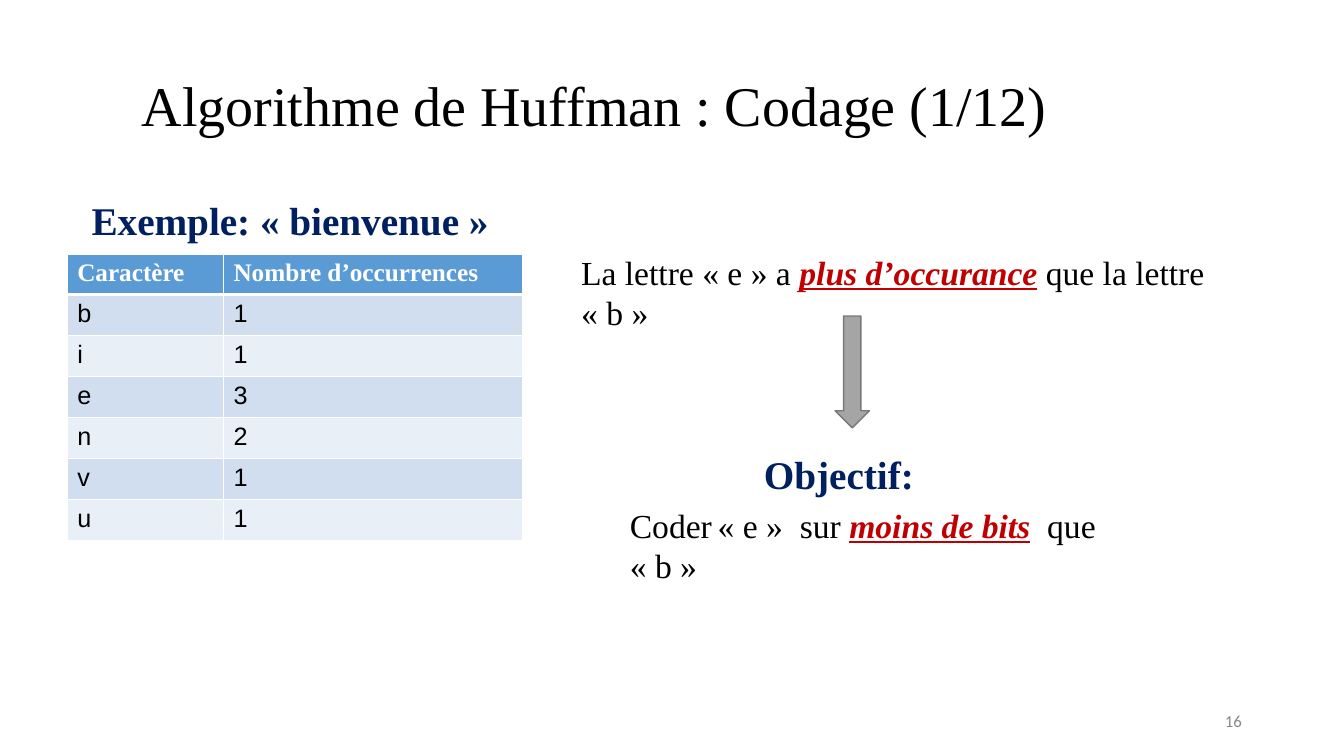
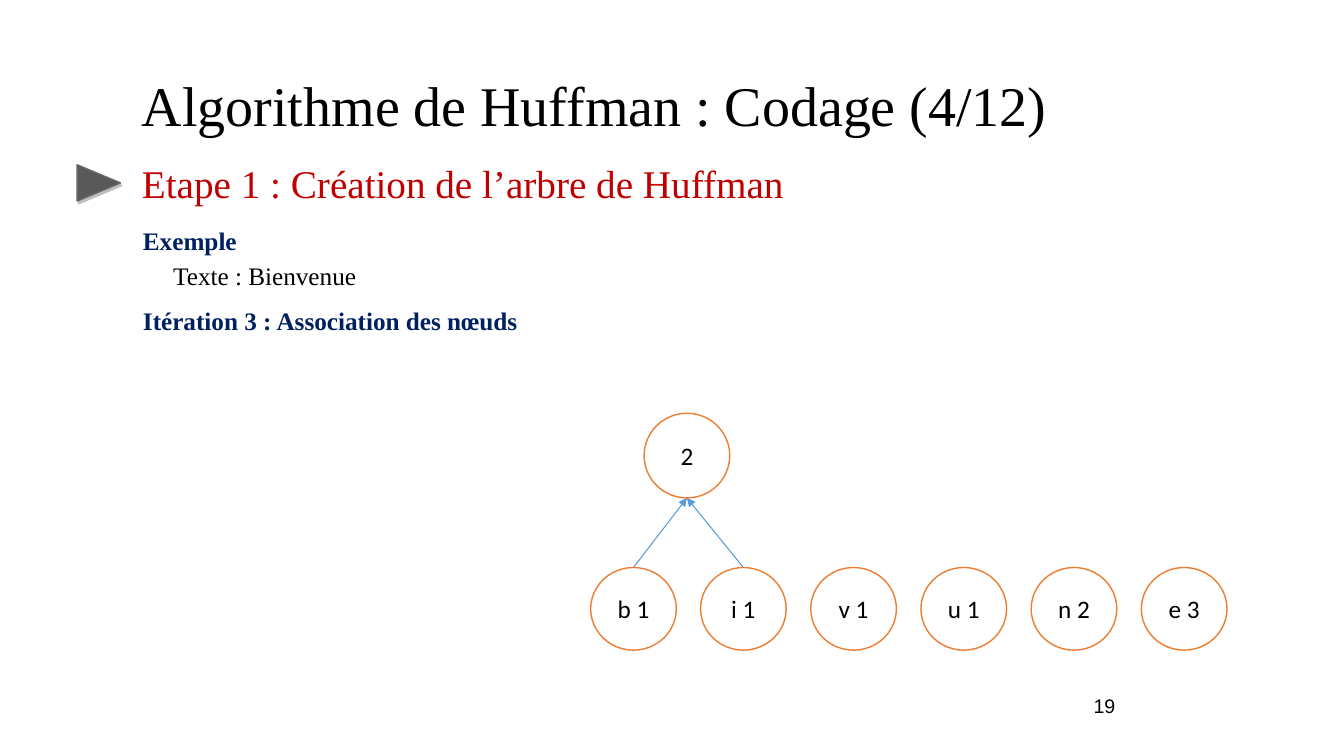
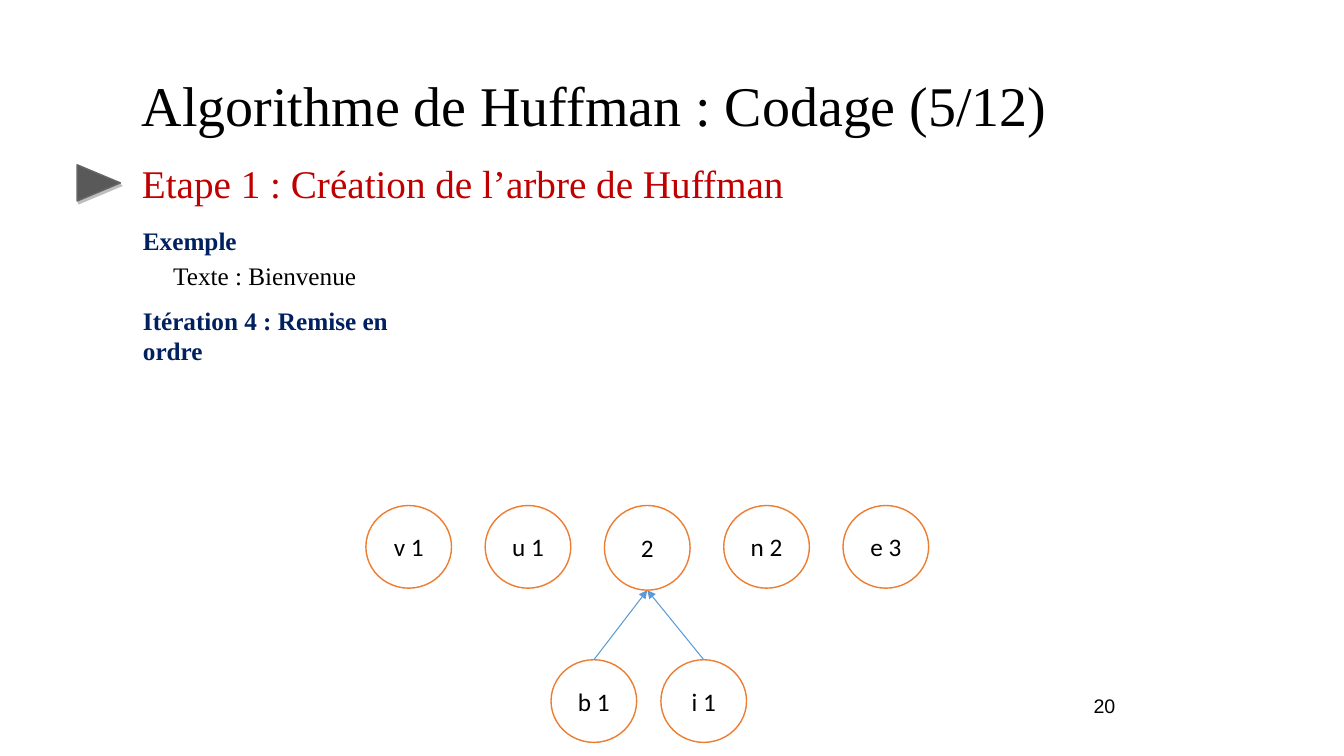
from dataclasses import dataclass
from typing import NamedTuple, Optional, Sequence

from lxml import etree
from pptx import Presentation
from pptx.dml.color import RGBColor
from pptx.enum import shapes, text
from pptx.oxml import parse_xml
from pptx.oxml.ns import nsdecls, qn
from pptx.util import Emu, Inches, Pt


# Theme: colours, fonts and type sizes
@dataclass(frozen=True)
class Theme:
    black: str = "000000"
    white: str = "FFFFFF"
    navy: str = "002060"
    red: str = "C00000"
    grey: str = "888888"
    head_fill: str = "5B9BD5"
    bands: tuple = ("D0DEEF", "E9EFF7")
    arrow_fill: str = "A5A5A5"
    arrow_line: str = "787878"
    marker_fill: str = "595959"
    marker_line: str = "666666"
    marker_shadow: str = "7F7F7F"
    node_line: str = "ED7D31"
    link: str = "5B9BD5"
    serif: str = "Times New Roman"
    sans: str = "Arial"
    label: str = "Calibri"
    title_size: int = 40
    heading_size: int = 28
    text_size: int = 24
    small_size: int = 18


THEME = Theme()

# Grid: 40 columns by 30 rows over the whole slide
SLIDE_WIDTH, SLIDE_HEIGHT = Inches(13.33), Inches(7.5)
COLUMNS, ROWS = 40, 30


def across(columns: float) -> Emu:
    return Emu(round(SLIDE_WIDTH * columns / COLUMNS))


def down(rows: float) -> Emu:
    return Emu(round(SLIDE_HEIGHT * rows / ROWS))


class Box(NamedTuple):
    col: float
    row: float
    cols: float
    rows: float

    def place(self) -> tuple:
        return across(self.col), down(self.row), across(self.cols), down(self.rows)


class Style(NamedTuple):
    size: int
    color: str = THEME.black
    font: str = THEME.serif
    bold: bool = False
    stressed: bool = False


class Span(NamedTuple):
    words: str
    style: Style


TITLE = Style(THEME.title_size)
STEP = Style(THEME.heading_size, THEME.red)
HEADING = Style(THEME.heading_size, THEME.navy, bold=True)
BODY = Style(THEME.text_size)
STRESS = Style(THEME.text_size, THEME.red, bold=True, stressed=True)
SMALL = Style(THEME.small_size)
SMALL_HEADING = Style(THEME.small_size, THEME.navy, bold=True)
NODE = Style(THEME.small_size, font=THEME.label)
TABLE_HEAD = Style(THEME.small_size, THEME.white, bold=True)
TABLE_CELL = Style(THEME.small_size, font=THEME.sans)
PALE_NUMBER = Style(12, THEME.grey, THEME.label)
DARK_NUMBER = Style(14, font=THEME.sans)

NODE_COLS, NODE_ROWS, PARENT_ROWS = 2.55, 3.28, 3.36
CHILD_OFFSETS, CHILD_DROP = (-1.59, 1.68), 6.12


# Text
def quoted(word: str) -> str:
    no_break = chr(160)
    return f"«{no_break}{word}{no_break}»"


def style_run(run, style: Style) -> None:
    font = run.font
    font.name, font.size = style.font, Pt(style.size)
    font.color.rgb = RGBColor.from_string(style.color)
    font.bold, font.italic, font.underline = style.bold, style.stressed, style.stressed


def write(frame, words: str, style: Style) -> None:
    frame.text = words
    style_run(frame.paragraphs[0].runs[0], style)


def add_text(slide, box: Box, spans: Sequence[Span], align=text.PP_ALIGN.LEFT,
             anchor=text.MSO_ANCHOR.TOP, spacing: Optional[float] = None) -> None:
    frame = slide.shapes.add_textbox(*box.place()).text_frame
    frame.word_wrap = True
    frame.vertical_anchor = anchor
    line = frame.paragraphs[0]
    line.alignment = align
    if spacing:
        line.line_spacing = spacing
    for span in spans:
        run = line.add_run()
        run.text = span.words
        style_run(run, span.style)


# Shapes
def add_figure(slide, kind, box: Box, fill: str, line: str, rotation: float = 0):
    figure = slide.shapes.add_shape(kind, *box.place())
    figure.shadow.inherit = False
    figure.rotation = rotation
    figure.fill.solid()
    figure.fill.fore_color.rgb = RGBColor.from_string(fill)
    figure.line.color.rgb = RGBColor.from_string(line)
    figure.line.width = Pt(1)
    return figure


def add_marker(slide) -> None:
    marker = add_figure(slide, shapes.MSO_SHAPE.ISOSCELES_TRIANGLE, Box(2.4, 6.4, 1.08, 1.72),
                        THEME.marker_fill, THEME.marker_line, rotation=90)
    effects = marker._element.spPr.find(qn("a:effectLst"))
    effects.append(parse_xml(
        f'<a:outerShdw {nsdecls("a")} dist="{Pt(2.2)}" dir="{63 * 60000}" rotWithShape="0">'
        f'<a:srgbClr val="{THEME.marker_shadow}"><a:alpha val="50000"/></a:srgbClr>'
        '</a:outerShdw>'))


def add_node(slide, label: str, col: float, row: float, rows: float = NODE_ROWS) -> None:
    node = add_figure(slide, shapes.MSO_SHAPE.OVAL, Box(col, row, NODE_COLS, rows),
                      THEME.white, THEME.node_line)
    frame = node.text_frame
    write(frame, label, NODE)
    frame.vertical_anchor = text.MSO_ANCHOR.MIDDLE
    frame.paragraphs[0].alignment = text.PP_ALIGN.CENTER


def add_node_row(slide, labels: Sequence[Optional[str]], col: float, row: float,
                 pitch: float) -> None:
    for slot, label in enumerate(labels):
        if label:
            add_node(slide, label, col + slot * pitch, row)


def add_link(slide, start: tuple, end: tuple) -> None:
    link = slide.shapes.add_connector(
        shapes.MSO_CONNECTOR.STRAIGHT,
        across(start[0]), down(start[1]), across(end[0]), down(end[1]))
    link.line.color.rgb = RGBColor.from_string(THEME.link)
    link.line.width = Pt(0.75)
    etree.SubElement(link.line._get_or_add_ln(), qn("a:tailEnd"), type="triangle")
    etree.SubElement(link._element.spPr, qn("a:effectLst"))


def add_association(slide, col: float, row: float) -> None:
    """Node of weight 2 above the two leaves it joins."""
    middle = NODE_COLS / 2
    for label, offset in zip(("b 1", "i 1"), CHILD_OFFSETS):
        child_col, child_row = col + offset, row + CHILD_DROP
        add_node(slide, label, child_col, child_row)
        add_link(slide, (child_col + middle, child_row), (col + middle, row + PARENT_ROWS))
    add_node(slide, "2", col, row, PARENT_ROWS)


# Table of occurrences
def set_borders(cell, bottom: float) -> None:
    properties = cell._tc.get_or_add_tcPr()
    for position, (side, width) in enumerate(
            (("lnL", 1), ("lnR", 1), ("lnT", 1), ("lnB", bottom))):
        properties.insert(position, parse_xml(
            f'<a:{side} {nsdecls("a")} w="{Pt(width)}"><a:solidFill>'
            f'<a:srgbClr val="{THEME.white}"/></a:solidFill></a:{side}>'))


def add_occurrences(slide, records: Sequence[tuple]) -> None:
    widths, head_rows, body_rows = (4.65, 8.91), 1.56, 1.63
    box = Box(2, 10.08, sum(widths), head_rows + body_rows * (len(records) - 1))
    table = slide.shapes.add_table(len(records), len(widths), *box.place()).table
    for column, width in zip(table.columns, widths):
        column.width = across(width)
    for r, record in enumerate(records):
        head = r == 0
        table.rows[r].height = down(head_rows if head else body_rows)
        for c, words in enumerate(record):
            cell = table.cell(r, c)
            write(cell.text_frame, words, TABLE_HEAD if head else TABLE_CELL)
            cell.fill.solid()
            cell.fill.fore_color.rgb = RGBColor.from_string(
                THEME.head_fill if head else THEME.bands[(r - 1) % 2])
            set_borders(cell, bottom=3 if head else 1)


# Parts shared by the slides
def start_slide(deck, step: int, number: int, number_box: Box, number_style: Style,
                number_anchor=text.MSO_ANCHOR.TOP):
    slide = deck.slides.add_slide(deck.slide_layouts[6])
    add_text(slide, Box(3.93, 1.8, 28.5, 5),
             [Span(f"Algorithme de Huffman : Codage ({step}/12)", TITLE)],
             anchor=text.MSO_ANCHOR.MIDDLE, spacing=0.9)
    add_text(slide, number_box, [Span(str(number), number_style)],
             align=text.PP_ALIGN.RIGHT, anchor=number_anchor)
    return slide


def start_tree_slide(deck, step: int, number: int, iteration: str, iteration_cols: float):
    slide = start_slide(deck, step, number, Box(26.49, 27.32, 7, 2.08), DARK_NUMBER)
    add_marker(slide)
    add_text(slide, Box(3.93, 6.12, 25.5, 2.48),
             [Span("Etape 1 : Création de l’arbre de Huffman", STEP)],
             anchor=text.MSO_ANCHOR.MIDDLE, spacing=0.9)
    for box, words, style in (
            (Box(3.96, 8.76, 3.48, 1.6), "Exemple", SMALL_HEADING),
            (Box(4.86, 10.12, 26.07, 1.6), "Texte : Bienvenue", SMALL),
            (Box(3.96, 11.92, iteration_cols, 1.6), iteration, SMALL_HEADING)):
        add_text(slide, box, [Span(words, style)])
    return slide


# Slides
def build_example(deck) -> None:
    slide = start_slide(deck, 1, 16, Box(28.26, 27.8, 9, 1.6), PALE_NUMBER,
                        text.MSO_ANCHOR.MIDDLE)
    add_occurrences(slide, [("Caractère", "Nombre d’occurrences"), ("b", "1"), ("i", "1"),
                            ("e", "3"), ("n", "2"), ("v", "1"), ("u", "1")])
    add_text(slide, Box(2.43, 7.6, 12.42, 2.28),
             [Span(f"Exemple: {quoted('bienvenue')}", HEADING)])
    add_text(slide, Box(17, 9.8, 20.97, 2), [
        Span(f"La lettre {quoted('e')} a ", BODY),
        Span("plus d’occurance", STRESS),
        Span(f" que la lettre {quoted('b')}", BODY)])
    add_figure(slide, shapes.MSO_SHAPE.RIGHT_ARROW, Box(23.7, 14.08, 3.33, 1.36),
               THEME.arrow_fill, THEME.arrow_line, rotation=90)
    add_text(slide, Box(22.44, 17.68, 5.88, 2.28), [Span("Objectif:", HEADING)])
    add_text(slide, Box(18.45, 19.84, 16.62, 2), [
        Span("Coder", BODY),
        Span(" ", NODE),
        Span(f"{quoted('e')}  sur ", BODY),
        Span("moins de bits", STRESS),
        Span(f"  que {quoted('b')}", BODY)])


def build_iteration_3(deck) -> None:
    slide = start_tree_slide(deck, 4, 19, "Itération 3 : Association des nœuds", 12.03)
    top = 16.4
    add_association(slide, 19.17, top)
    add_node_row(slide, ("v 1", "u 1", "n 2", "e 3"), 24.13, top + CHILD_DROP, pitch=3.28)


def build_iteration_4(deck) -> None:
    slide = start_tree_slide(deck, 5, 20, "Itération 4 : Remise en ordre", 9.75)
    left, top, pitch = 10.89, 20.06, 3.55
    add_node_row(slide, ("v 1", "u 1", None, "n 2", "e 3"), left, top, pitch)
    add_association(slide, left + 2 * pitch, top)


def main() -> None:
    deck = Presentation()
    deck.slide_width, deck.slide_height = SLIDE_WIDTH, SLIDE_HEIGHT
    for build in (build_example, build_iteration_3, build_iteration_4):
        build(deck)
    deck.save("out.pptx")


if __name__ == "__main__":
    main()
